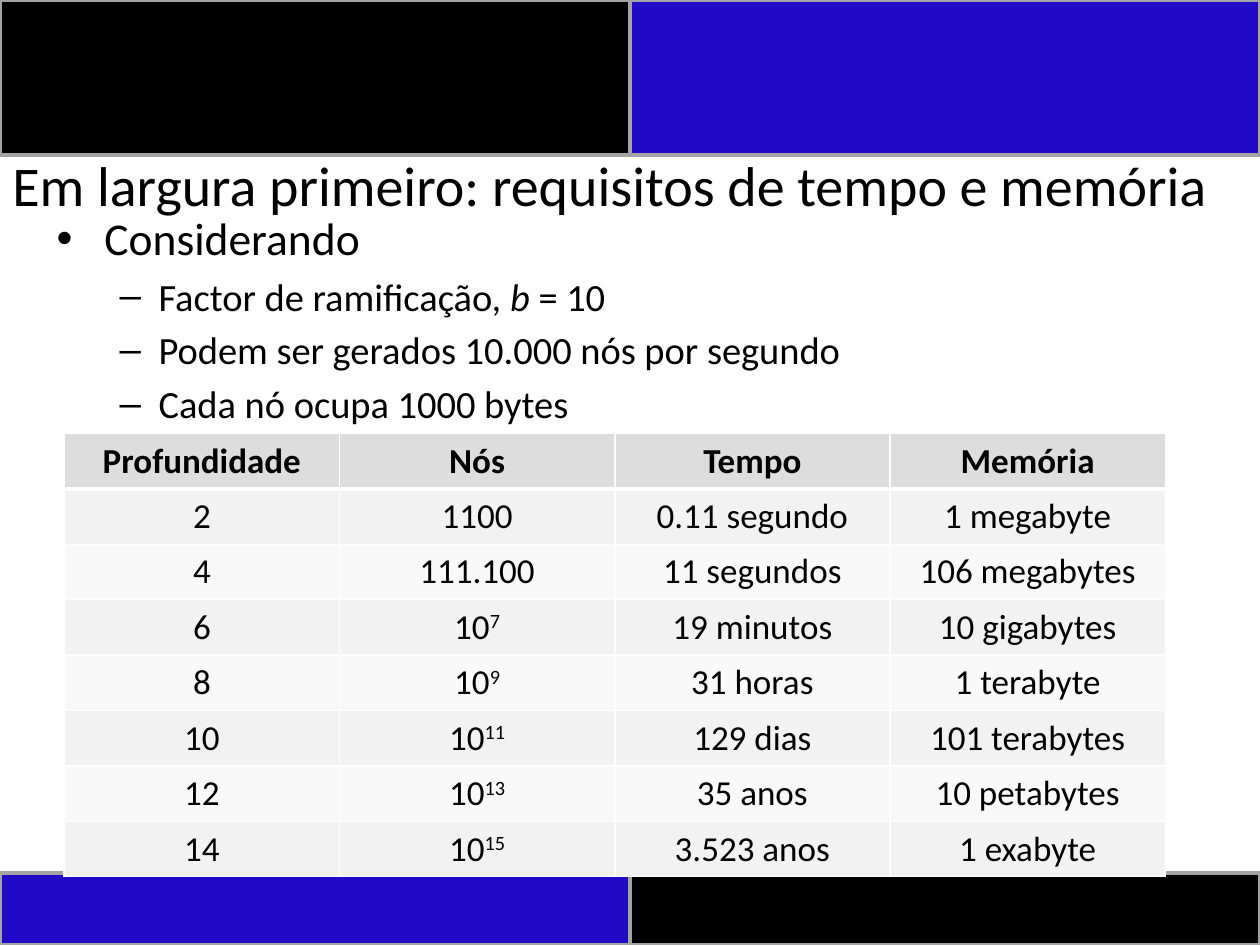
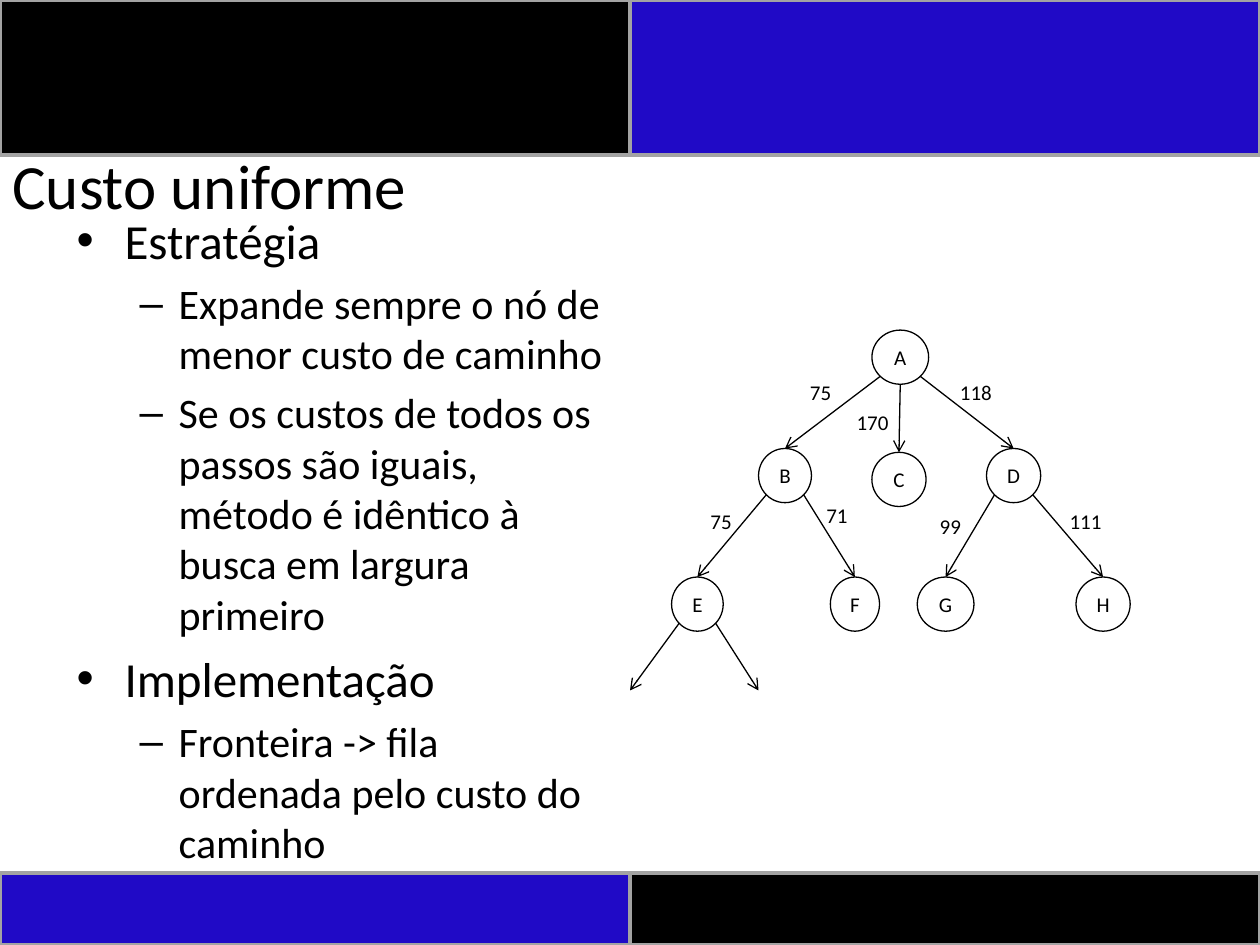
from typing import NamedTuple, Optional

from lxml import etree
from pptx import Presentation
from pptx.dml.color import RGBColor
from pptx.enum.shapes import MSO_CONNECTOR, MSO_SHAPE
from pptx.enum.text import MSO_ANCHOR, PP_ALIGN
from pptx.oxml.ns import qn
from pptx.util import Inches, Pt

RECTANGLE, OVAL = MSO_SHAPE.RECTANGLE, MSO_SHAPE.OVAL
STRAIGHT = MSO_CONNECTOR.STRAIGHT
MIDDLE = MSO_ANCHOR.MIDDLE
LEFT, CENTER = PP_ALIGN.LEFT, PP_ALIGN.CENTER

FONT = "Calibri"
COLORS = {
    "black": "000000",
    "blue": "200AC6",
    "band_line": "A3A3A3",
    "white": "FFFFFF",
    "header": "DDDDDD",
    "odd_row": "F2F2F2",
    "even_row": "F9F9F9",
}
TOP_SIDE = 0
DIAGONAL = 0.5 ** 0.5


class Band(NamedTuple):
    left: float
    top: float
    height: float
    color: str


class Level(NamedTuple):
    margin: float
    hanging: float
    bullet: str


class Item(NamedTuple):
    level: int
    text: str  # *word* is set in italics


class Node(NamedTuple):
    name: str
    left: float
    top: float
    width: float


class Edge(NamedTuple):
    parent: str
    side: int  # -1 leaves at lower left, 0 at the bottom, 1 at lower right
    child: Optional[str]
    end: tuple = (0, 0)  # used when there is no child


class Cost(NamedTuple):
    text: str
    left: float
    top: float


# Shared by the slides
BANDS = [
    Band(5, 6.93, 0.57, "black"),
    Band(0, 6.93, 0.57, "blue"),
    Band(0, 0, 1.23, "black"),
    Band(5, 0, 1.23, "blue"),
]
LEVELS = [Level(0.38, 0.38, "•"), Level(0.81, 0.31, "–")]

# Breadth-first requirements
CONDITIONS = [
    Item(0, "Considerando"),
    Item(1, "Factor de ramificação, *b* = 10"),
    Item(1, "Podem ser gerados 10.000 nós por segundo"),
    Item(1, "Cada nó ocupa 1000 bytes"),
]
REQUIREMENTS = [  # 10^7 is set with a raised exponent
    ("Profundidade", "Nós", "Tempo", "Memória"),
    ("2", "1100", "0.11 segundo", "1 megabyte"),
    ("4", "111.100", "11 segundos", "106 megabytes"),
    ("6", "10^7", "19 minutos", "10 gigabytes"),
    ("8", "10^9", "31 horas", "1 terabyte"),
    ("10", "10^11", "129 dias", "101 terabytes"),
    ("12", "10^13", "35 anos", "10 petabytes"),
    ("14", "10^15", "3.523 anos", "1 exabyte"),
]

# Uniform cost search
STRATEGY = [
    Item(0, "Estratégia"),
    Item(1, "Expande sempre o nó de menor custo de caminho"),
    Item(1, "Se os custos de todos os passos são iguais, método é idêntico "
            "à busca em largura primeiro"),
    Item(0, "Implementação"),
    Item(1, "Fronteira -> fila ordenada pelo custo do caminho"),
]
NODE_HEIGHT = 0.43
NODES = [
    Node("A", 6.92, 2.62, 0.45),
    Node("B", 6.02, 3.56, 0.42),
    Node("C", 6.92, 3.59, 0.43),
    Node("D", 7.83, 3.56, 0.43),
    Node("E", 5.33, 4.58, 0.41),
    Node("F", 6.59, 4.58, 0.39),
    Node("G", 7.28, 4.58, 0.45),
    Node("H", 8.54, 4.58, 0.43),
]
EDGES = [
    Edge("A", -1, "B"), Edge("A", 0, "C"), Edge("A", 1, "D"),
    Edge("B", -1, "E"), Edge("B", 1, "F"),
    Edge("D", -1, "G"), Edge("D", 1, "H"),
    Edge("E", -1, None, (5, 5.48)), Edge("E", 1, None, (6.02, 5.48)),
]
COSTS = [
    Cost("75", 6.33, 2.96), Cost("170", 6.7, 3.2), Cost("118", 7.52, 2.96),
    Cost("75", 5.54, 3.99), Cost("71", 6.46, 3.94),
    Cost("99", 7.36, 4.03), Cost("111", 8.39, 3.99),
]


def rgb(name: str) -> RGBColor:
    return RGBColor.from_string(COLORS[name])


def style(paragraph, size: float, align=LEFT, bold: bool = False) -> None:
    paragraph.alignment = align
    font = paragraph.font
    font.name, font.size, font.bold = FONT, Pt(size), bold
    font.color.rgb = rgb("black")


def add_text(slide, left: float, top: float, width: float, height: float,
             wrap: bool = True):
    box = slide.shapes.add_textbox(
        Inches(left), Inches(top), Inches(width), Inches(height))
    box.text_frame.word_wrap = wrap
    return box.text_frame


def add_base_slide(prs, title: str, title_size: float):
    slide = prs.slides.add_slide(prs.slide_layouts[6])
    for band in BANDS:
        bar = slide.shapes.add_shape(
            RECTANGLE, Inches(band.left), Inches(band.top),
            Inches(5), Inches(band.height))
        bar.shadow.inherit = False
        bar.fill.solid()
        bar.fill.fore_color.rgb = rgb(band.color)
        bar.line.color.rgb = rgb("band_line")
        bar.line.width = Pt(2)
    frame = add_text(slide, 0, 1.23, 10, 0.46)
    frame.vertical_anchor = MIDDLE
    frame.text = title
    style(frame.paragraphs[0], title_size)
    return slide


def add_outline(slide, box: tuple, items: list[Item], sizes: tuple) -> None:
    frame = add_text(slide, *box)
    for index, item in enumerate(items):
        paragraph = frame.paragraphs[0] if index == 0 else frame.add_paragraph()
        level, size = LEVELS[item.level], sizes[item.level]
        paragraph.level = item.level
        props = paragraph._p.get_or_add_pPr()
        props.set("marL", str(Inches(level.margin)))
        props.set("indent", str(-Inches(level.hanging)))
        etree.SubElement(props, qn("a:buFont")).set("typeface", "Arial")
        etree.SubElement(props, qn("a:buChar")).set("char", level.bullet)
        paragraph.space_before = Pt(size * 0.2)
        style(paragraph, size)
        for part, text in enumerate(item.text.split("*")):
            run = paragraph.add_run()
            run.text = text
            if part % 2:
                run.font.italic = True


def set_border(cell, side: str, width: float) -> None:
    line = etree.SubElement(cell._tc.get_or_add_tcPr(), qn(f"a:ln{side}"))
    line.set("w", str(Pt(width)))
    fill = etree.SubElement(line, qn("a:solidFill"))
    etree.SubElement(fill, qn("a:srgbClr")).set("val", COLORS["white"])


def add_requirements(slide) -> None:
    rows, columns = len(REQUIREMENTS), len(REQUIREMENTS[0])
    table = slide.shapes.add_table(
        rows, columns, Inches(0.51), Inches(3.44),
        Inches(8.74), Inches(0.44 * rows)).table
    table.first_row = table.horz_banding = False
    for r, values in enumerate(REQUIREMENTS):
        fill = "header" if r == 0 else "odd_row" if r % 2 else "even_row"
        widths = {"L": 1, "R": 1, "T": 3 if r == 1 else 1, "B": 3 if r == 0 else 1}
        for c, value in enumerate(values):
            cell = table.cell(r, c)
            for side, width in widths.items():
                set_border(cell, side, width)
            cell.fill.solid()
            cell.fill.fore_color.rgb = rgb(fill)
            paragraph = cell.text_frame.paragraphs[0]
            style(paragraph, 20, CENTER, bold=r == 0)
            base, _, exponent = value.partition("^")
            paragraph.add_run().text = base
            if exponent:
                raised = paragraph.add_run()
                raised.text = exponent
                raised.font._element.set("baseline", "30000")


def add_node(slide, node: Node):
    circle = slide.shapes.add_shape(
        OVAL, Inches(node.left), Inches(node.top),
        Inches(node.width), Inches(NODE_HEIGHT))
    circle.shadow.inherit = False
    circle.fill.background()
    circle.line.color.rgb = rgb("black")
    circle.line.width = Pt(0.75)
    frame = circle.text_frame
    frame.word_wrap = False
    frame.vertical_anchor = MIDDLE
    frame.text = node.name
    style(frame.paragraphs[0], 12, CENTER)
    return circle


def add_edge(slide, edge: Edge, circles: dict) -> None:
    parent = circles[edge.parent]
    reach = DIAGONAL if edge.side else 1
    start_x = parent.left + parent.width / 2 * (1 + edge.side * DIAGONAL)
    start_y = parent.top + parent.height / 2 * (1 + reach)
    end_x, end_y = edge.end
    arrow = slide.shapes.add_connector(
        STRAIGHT, int(start_x), int(start_y), Inches(end_x), Inches(end_y))
    if edge.side == 0:
        arrow.begin_connect(parent, 2)
        # An oval counts eight sites, and its bottom is the fifth
        arrow._element.find(".//" + qn("a:stCxn")).set("idx", "4")
    if edge.child:
        arrow.end_connect(circles[edge.child], TOP_SIDE)
    arrow.line.color.rgb = rgb("black")
    arrow.line.width = Pt(0.75)
    etree.SubElement(arrow.line._get_or_add_ln(), qn("a:tailEnd")).set("type", "arrow")
    etree.SubElement(arrow._element.spPr, qn("a:effectLst"))


def add_cost(slide, cost: Cost) -> None:
    width = 0.19 + 0.09 * len(cost.text)
    frame = add_text(slide, cost.left, cost.top, width, 0.3, wrap=False)
    frame.text = cost.text
    style(frame.paragraphs[0], 12)


def main() -> None:
    prs = Presentation()
    prs.slide_width, prs.slide_height = Inches(10), Inches(7.5)

    # Time and memory requirements
    requirements = add_base_slide(
        prs, "Em largura primeiro: requisitos de tempo e memória", 32)
    add_outline(requirements, (0.35, 1.62, 9.15, 1.76), CONDITIONS, (26, 22))
    add_requirements(requirements)

    # Uniform cost with its search tree
    uniform = add_base_slide(prs, "Custo uniforme", 36)
    add_outline(uniform, (0.51, 1.62, 4.42, 4.95), STRATEGY, (28, 24))
    circles = {node.name: add_node(uniform, node) for node in NODES}
    for edge in EDGES:
        add_edge(uniform, edge, circles)
    for cost in COSTS:
        add_cost(uniform, cost)

    prs.save("out.pptx")


if __name__ == "__main__":
    main()
